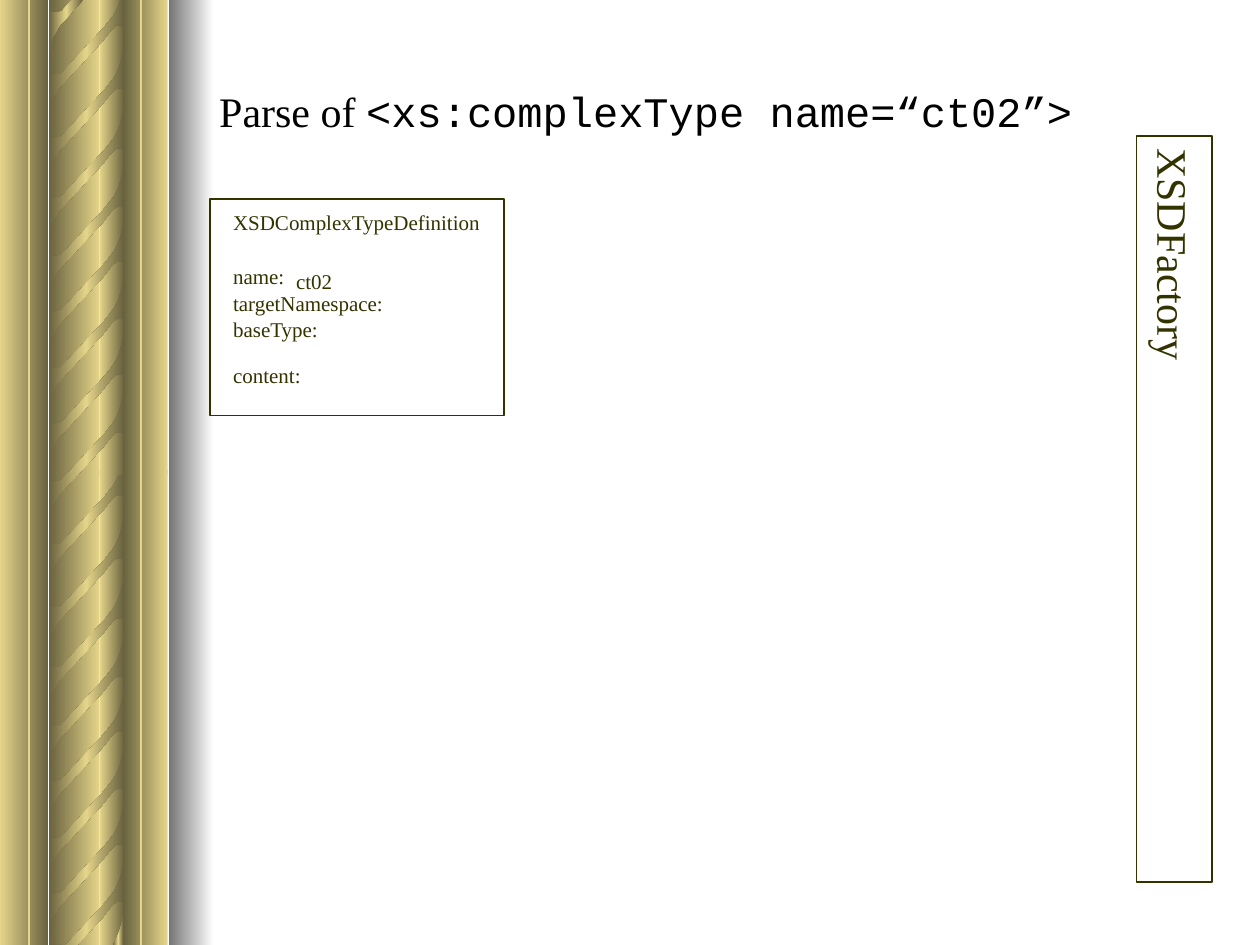
from copy import deepcopy

from pptx import Presentation, util as u
from pptx.dml.color import RGBColor
from pptx.enum import shapes, text
from pptx.oxml.ns import qn
from lxml import etree

SERIF, MONO = "Times New Roman", "Courier New"
BLACK, OLIVE = "000000", "333300"
GOLD, BRONZE = "E5D58A", "69623F"
WIDTH, HEIGHT = 25.4, 19.05


def colour(code):
    """Turn a hex string into a colour."""
    return RGBColor.from_string(code)


def clip(outline, limit, sign):
    """Keep the part of an outline where sign * (y - limit) is not negative."""
    kept = []
    for (x0, y0), (x1, y1) in zip(outline[-1:] + outline[:-1], outline):
        inside0, inside1 = sign * (y0 - limit) >= 0, sign * (y1 - limit) >= 0
        if inside0 != inside1:
            kept.append((x0 + (x1 - x0) * (limit - y0) / (y1 - y0), limit))
        if inside1:
            kept.append((x1, y1))
    return kept


class SlideBuilder:
    """Holds the style and the current slide; lengths are centimetres."""

    def __init__(self, slide):
        """Start on the given slide."""
        self.slide = slide

    def gradient(self, shape, *colours):
        """Fill a shape with colours spread evenly from right to left."""
        shape.shadow.inherit = False
        shape.line.fill.background()
        shape.fill.gradient()
        shape.fill.gradient_angle = 180
        stop_list = shape._element.spPr.find(qn("a:gradFill")).find(qn("a:gsLst"))
        for _ in colours[2:]:
            stop_list.append(deepcopy(stop_list[-1]))
        for index, (stop, code) in enumerate(zip(shape.fill.gradient_stops, colours)):
            stop.position = index / (len(colours) - 1)
            stop.color.rgb = colour(code)

    def rectangle(self, left, top, width, height):
        """Add a bare rectangle."""
        shape = self.slide.shapes.add_shape(
            shapes.MSO_SHAPE.RECTANGLE, *map(u.Cm, (left, top, width, height)))
        shape.shadow.inherit = False
        return shape

    def rail(self, left, top, width, height, *colours):
        """Add an upright bar with a gradient."""
        self.gradient(self.rectangle(left, top, width, height), *colours)

    def strand(self, outline):
        """Add one twist of the rope."""
        points = [(u.Cm(x), u.Cm(y)) for x, y in outline]
        builder = self.slide.shapes.build_freeform(*points[0])
        builder.add_line_segments(points[1:], close=True)
        self.gradient(builder.convert_to_shape(), BRONZE, GOLD, BRONZE)

    def groove(self, x):
        """Add a thin upright line over the full height."""
        line = self.slide.shapes.add_connector(
            shapes.MSO_CONNECTOR.STRAIGHT, u.Cm(x), 0, u.Cm(x), u.Cm(HEIGHT))
        line.line.color.rgb = colour(GOLD)
        line.line.width = u.Pt(1)
        etree.SubElement(line._element.spPr, qn("a:effectLst"))

    def frame(self, left, top, width, height):
        """Add an outlined rectangle without fill."""
        shape = self.rectangle(left, top, width, height)
        shape.fill.background()
        shape.line.color.rgb = colour(OLIVE)
        shape.line.width = u.Pt(1)
        return shape

    def run(self, paragraph, words, size, font=SERIF, code=OLIVE):
        """Add one styled run."""
        run = paragraph.add_run()
        run.text = words
        run.font.size = u.Pt(size)
        run.font.name = font
        run.font.color.rgb = colour(code)

    def text_box(self, left, top, width, height, wrap=True):
        """Add an empty text box and return its text frame."""
        box = self.slide.shapes.add_textbox(*map(u.Cm, (left, top, width, height)))
        box.text_frame.word_wrap = wrap
        return box.text_frame


deck = Presentation()
deck.slide_width, deck.slide_height = u.Cm(WIDTH), u.Cm(HEIGHT)
page = SlideBuilder(deck.slides.add_slide(deck.slide_layouts[6]))

# Rope column: two halves with the same rails and the same run of strands
RAILS = [(2.01, 0.5, BRONZE, GOLD), (0, 0.97, BRONZE, GOLD),
         (0.99, 1.02, GOLD, BRONZE), (2.49, 0.89, GOLD, BRONZE)]
STRAND = [
    (2.49, 0.23), (2.49, 0.84), (2.46, 0.81), (2.36, 0.81), (2.31, 0.84),
    (2.24, 0.91), (2.06, 1.14), (1.63, 1.6), (1.19, 2.08), (1.12, 2.21),
    (1.04, 2.34), (1.02, 2.54), (0.99, 2.84), (0.99, 1.6), (0.99, 1.73),
    (1.02, 1.78), (1.07, 1.8), (1.17, 1.8), (1.24, 1.78), (2.11, 0.84),
    (2.29, 0.61), (2.36, 0.48), (2.41, 0.36), (2.46, 0.18), (2.49, 0)]
STRAND_TOPS = [-1.55, -0.3, 0.97, 2.18, 3.36, 4.47, 5.62, 6.74, 7.9, 8.95]

for half_top, strand_tops in ((9.47, STRAND_TOPS[1:]), (0, STRAND_TOPS[:-1])):
    for rail_left, rail_width, *rail_colours in RAILS:
        page.rail(rail_left, half_top, rail_width, 9.58, *rail_colours)
    for strand_top in strand_tops:
        twist = [(x, y + half_top + strand_top) for x, y in STRAND]
        page.strand(clip(clip(twist, half_top, 1), HEIGHT, -1))

page.rail(3.4, 0, 0.91, HEIGHT, "FFFFFF", "757575")
for groove_x in (0.58, 2.84):
    page.groove(groove_x)

# Title
title = page.text_box(4.17, 0.64, 20.8, 3.18)
title.vertical_anchor = text.MSO_ANCHOR.MIDDLE
page.run(title.paragraphs[0], "Parse of ", 24, SERIF, BLACK)
page.run(title.paragraphs[0], "<xs:complexType name=“ct02”>", 24, MONO, BLACK)

# Type definition
definition = page.text_box(4.45, 4.09, 5.51, 2.9, wrap=False)
FIELDS = [("XSDComplexTypeDefinition", 0), ("name: ", 17),
          ("targetNamespace: ", 0.7), ("baseType: ", 0.7)]
for index, (field, gap) in enumerate(FIELDS):
    paragraph = definition.add_paragraph() if index else definition.paragraphs[0]
    paragraph.space_before = u.Pt(gap)
    page.run(paragraph, field, 12)

# Factory
factory = page.frame(22.91, 2.74, 1.52, 15.04).text_frame
factory.margin_left = factory.margin_right = u.Cm(0.13)
factory.margin_top = factory.margin_bottom = u.Cm(0.25)
factory.vertical_anchor = text.MSO_ANCHOR.MIDDLE
factory._txBody.bodyPr.set("vert", "eaVert")
factory.paragraphs[0].alignment = text.PP_ALIGN.CENTER
page.run(factory.paragraphs[0], "XSDFactory", 24)

# Field value and content label
for left, top, width, words in ((5.72, 5.28, 1.37, "ct02"),
                                (4.45, 7.19, 5.51, "content:")):
    page.run(page.text_box(left, top, width, 0.76).paragraphs[0], words, 12)
page.frame(4.24, 4.01, 5.92, 4.37)

deck.save("out.pptx")
